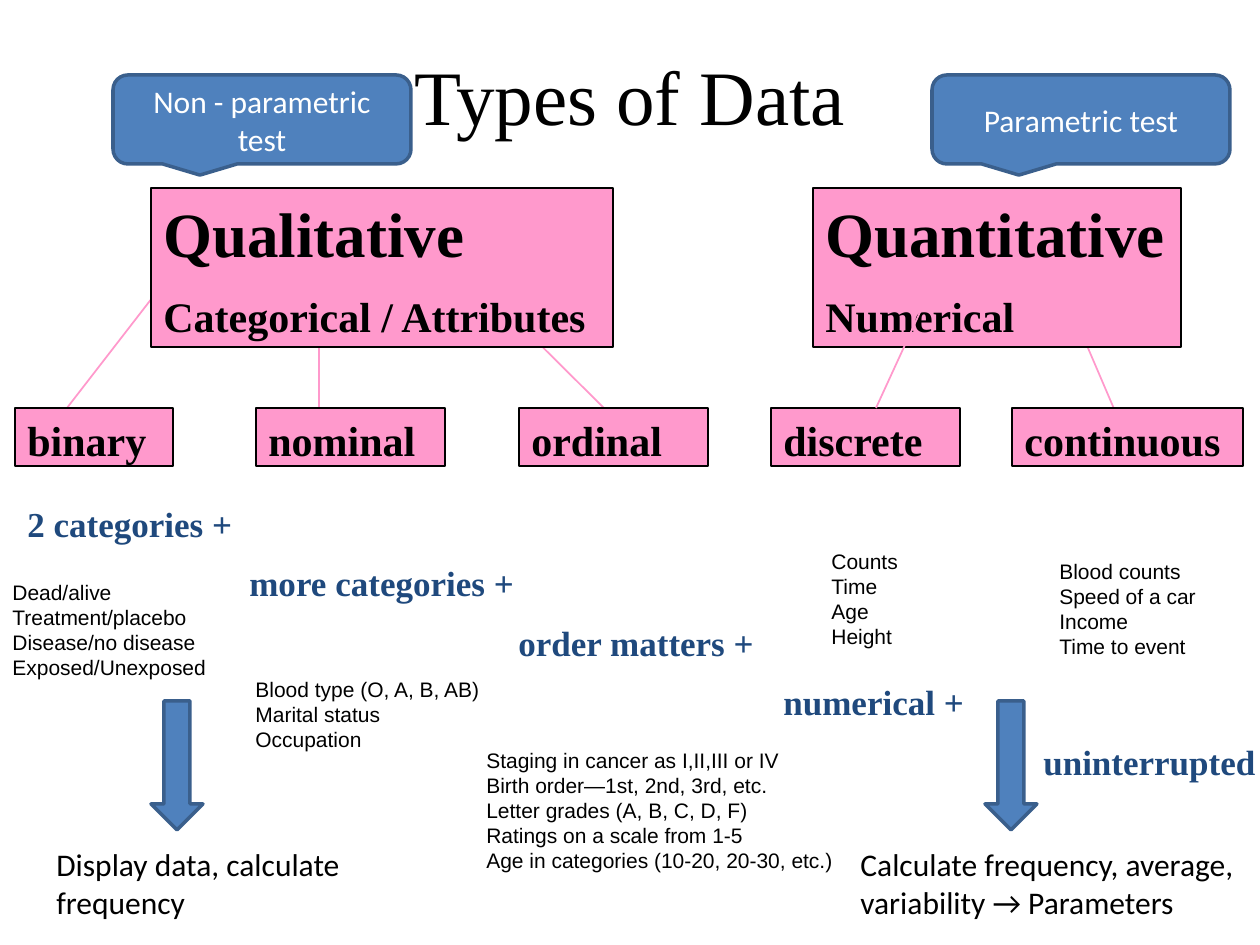
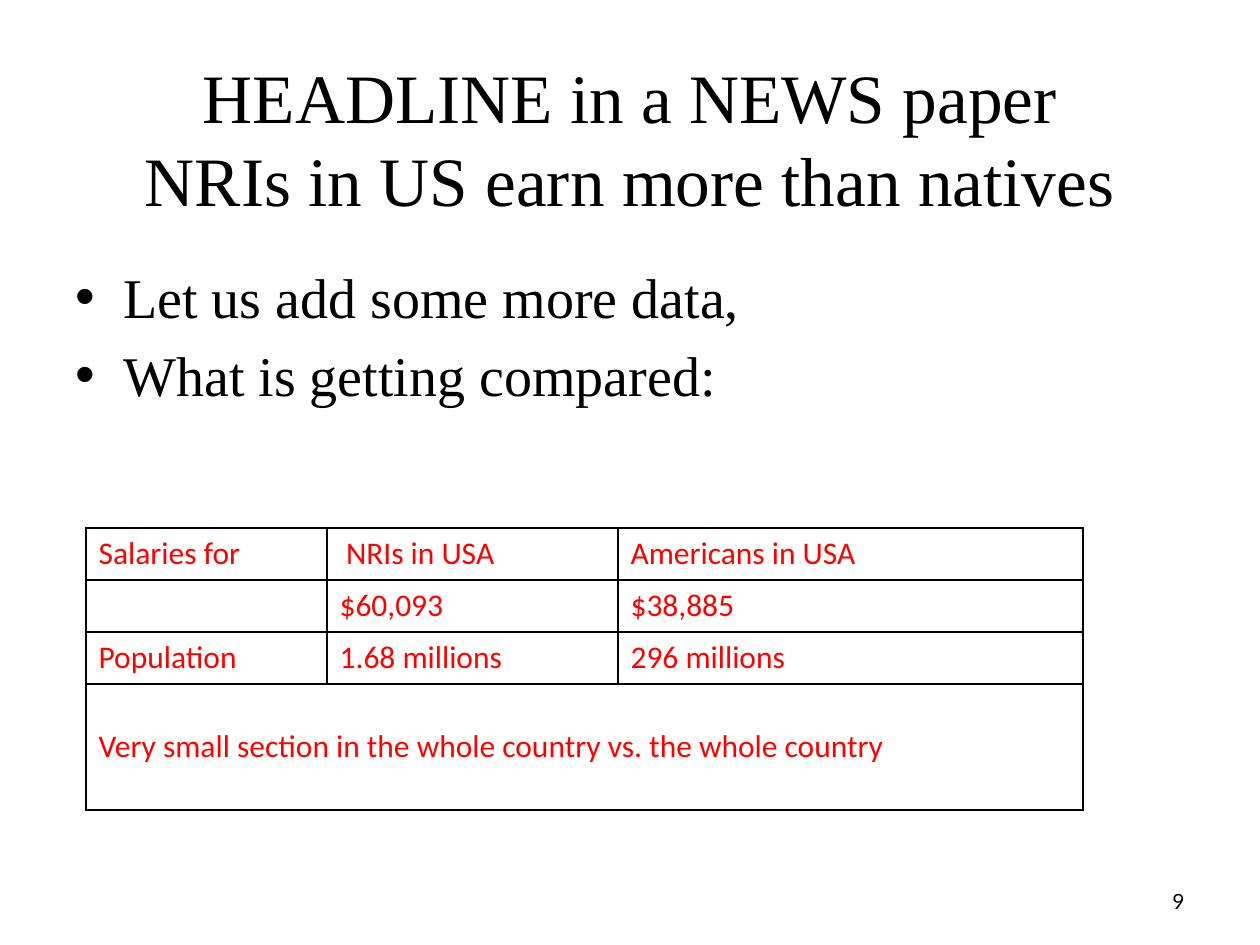
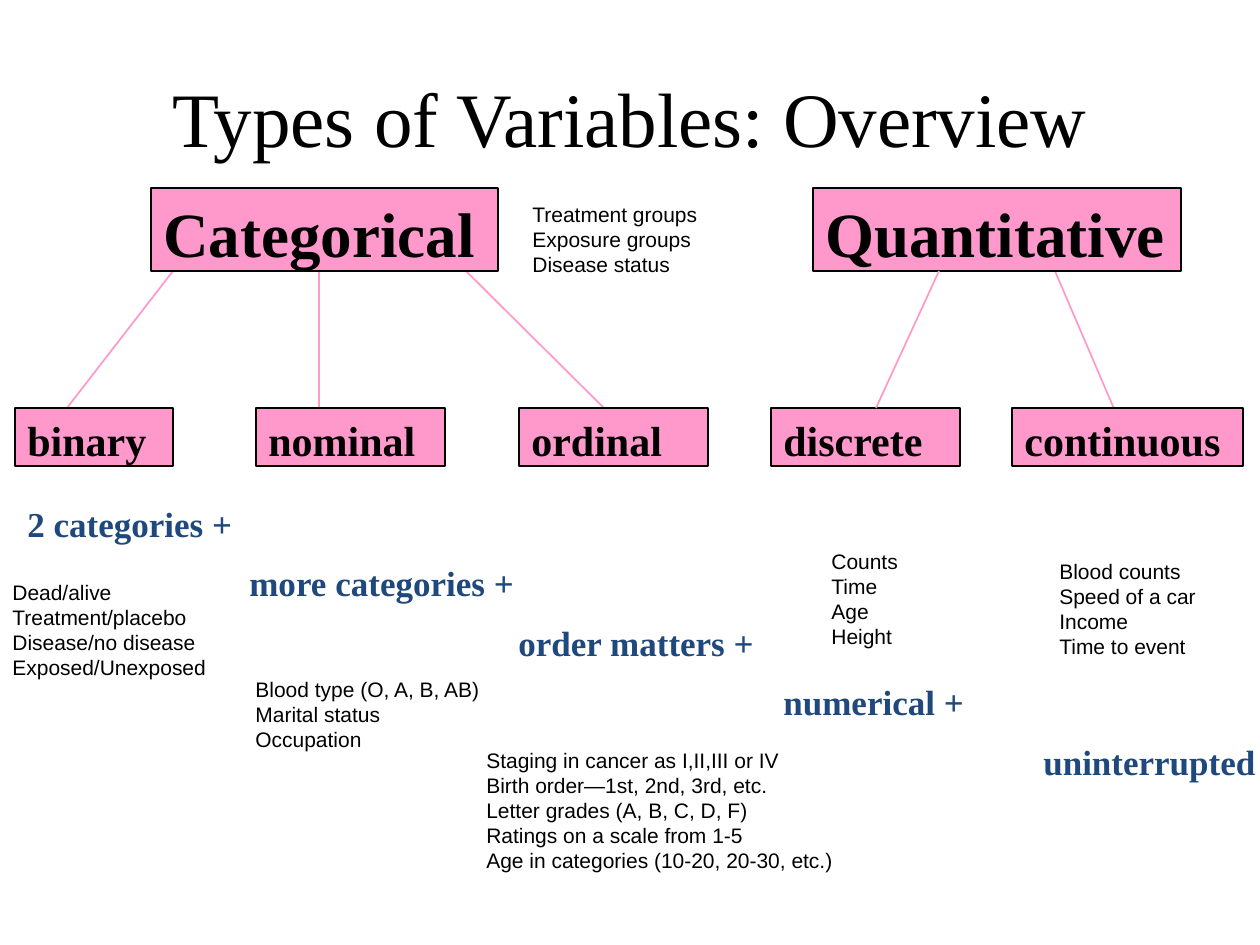
from lxml.etree import SubElement
from pptx import Presentation
from pptx.dml.color import RGBColor
from pptx.enum.shapes import MSO_CONNECTOR as Connector, MSO_SHAPE as Shape
from pptx.enum.text import MSO_ANCHOR as Anchor, PP_ALIGN as Align
from pptx.oxml.ns import qn
from pptx.util import Pt

EMU_PER_PX = 914400 / 126
COLORS = {
    "text": "000000",
    "white": "FFFFFF",
    "pink": "FF99CC",
    "blue": "4F81BD",
    "blue_edge": "3A5F8C",
    "navy": "1F497D",
    "red": "FF0000",
}
SERIF, SANS, BODY, NUMBER = "Times New Roman", "Arial", "Calibri", "Lato"

LEAVES = [
    ("continuous", 1012, 231),
    ("discrete", 771, 189),
    ("ordinal", 519, 189),
    ("nominal", 256, 189),
    ("binary", 15, 158),
]
BRANCHES = [
    (1055, 271, 1118, 418),
    (319, 271, 319, 408),
    (173, 271, 67, 408),
    (466, 271, 614, 418),
]
DISCRETE_BRANCH = (939, 271, 876, 408)
STEPS = [
    ("2 categories +", 0),
    ("more categories +", 222),
    ("order matters +", 491),
    ("numerical +", 756),
    ("uninterrupted", 1016),
]
EXAMPLES = [
    ((0, 573, 233, 113),
     ["Dead/alive", "Treatment/placebo", "Disease/no disease", "Exposed/Unexposed"]),
    ((243, 670, 297, 88),
     ["Blood type (O, A, B, AB)", "Marital status", "Occupation"]),
    ((474, 741, 415, 139),
     ["Staging in cancer as I,II,III or IV", "Birth order—1st, 2nd, 3rd, etc.",
      "Letter grades (A, B, C, D, F)", "Ratings on a scale from 1-5",
      "Age in categories (10-20, 20-30, etc.)"]),
    ((819, 542, 117, 113), ["Counts", "Time", "Age", "Height"]),
    ((1047, 552, 188, 113),
     ["Blood counts", "Speed of a car", "Income", "Time to event"]),
]
SALARIES = [
    ["Salaries for", "NRIs in USA", "Americans in USA"],
    ["", "$60,093", "$38,885"],
    ["Population", "1.68 millions", "296 millions"],
    ["Very small section in the whole country vs. the whole country", "", ""],
]


def px(value):
    return round(value * EMU_PER_PX)


def rgb(name):
    return RGBColor.from_string(COLORS[name])


class Deck:
    def __init__(self):
        self.presentation = Presentation()
        self.presentation.slide_width = px(1260)
        self.presentation.slide_height = px(945)
        self.slide = None

    def new_slide(self):
        self.slide = self.presentation.slides.add_slide(self.presentation.slide_layouts[6])

    def style(self, paragraph, size, font=SERIF, color="text", bold=False,
              align=Align.LEFT, before=0, indent=0, bullet=None):
        paragraph.alignment = align
        properties = paragraph._p.get_or_add_pPr()
        if before:
            spacing = SubElement(properties, qn("a:spcBef"))
            SubElement(spacing, qn("a:spcPct"), val=str(before * 1000))
        if indent:
            properties.set("marL", str(px(indent)))
        if bullet:
            properties.set("indent", str(-px(indent)))
            SubElement(properties, qn("a:buFont"), typeface=SANS)
            SubElement(properties, qn("a:buChar"), char=bullet)
        for run in paragraph.runs:
            run.font.size = Pt(size)
            run.font.name = font
            run.font.bold = bold
            run.font.color.rgb = rgb(color)

    def fill_text(self, shape, lines, size, anchor=Anchor.TOP, bottom=6, **style):
        frame = shape.text_frame
        frame.word_wrap = True
        frame.vertical_anchor = anchor
        frame.margin_bottom = px(bottom)
        frame.text = "\n".join(lines)
        for paragraph in frame.paragraphs:
            self.style(paragraph, size, **style)
        return frame

    def text(self, area, lines, size, **style):
        box = self.slide.shapes.add_textbox(*map(px, area))
        return self.fill_text(box, lines, size, **style)

    def title(self, text, top, size=44):
        self.text((63, top, 1134, 158), [text], size, anchor=Anchor.MIDDLE, align=Align.CENTER)

    def shape(self, kind, area, fill="blue", edge="blue_edge", width=2):
        shape = self.slide.shapes.add_shape(kind, *map(px, area))
        shape.shadow.inherit = False
        shape.fill.solid()
        shape.fill.fore_color.rgb = rgb(fill)
        shape.line.color.rgb = rgb(edge)
        shape.line.width = Pt(width)
        return shape

    def pink_box(self, area, lines, size):
        box = self.shape(Shape.RECTANGLE, area, "pink", "text", 0.75)
        return self.fill_text(box, lines, size, bottom=0, bold=True, before=50)

    def callout(self, left, text):
        callout = self.shape(Shape.ROUNDED_RECTANGULAR_CALLOUT, (left, 75, 298, 89))
        self.fill_text(callout, [text], 18, anchor=Anchor.MIDDLE, font=BODY,
                       color="white", align=Align.CENTER)

    def line(self, ends):
        connector = self.slide.shapes.add_connector(Connector.STRAIGHT, *map(px, ends))
        connector.line.color.rgb = rgb("pink")
        connector.line.width = Pt(1)
        SubElement(connector._element.spPr, qn("a:effectLst"))

    def table(self, area, rows, widths, heights):
        frame = self.slide.shapes.add_table(len(rows), len(widths), *map(px, area))
        table = frame.table
        table.first_row = table.horz_banding = False
        for column, width in zip(table.columns, widths):
            column.width = px(width)
        for row, height, texts in zip(table.rows, heights, rows):
            row.height = px(height)
            for cell, text in zip(row.cells, texts):
                cell.text = text
                self.style(cell.text_frame.paragraphs[0], 18, BODY, "red")
                self.borders(cell)
                cell.fill.solid()
                cell.fill.fore_color.rgb = rgb("white")
        return table

    def borders(self, cell):
        properties = cell._tc.get_or_add_tcPr()
        for side in ("lnL", "lnR", "lnT", "lnB"):
            border = SubElement(properties, qn(f"a:{side}"), w=str(Pt(1)))
            fill = SubElement(border, qn("a:solidFill"))
            SubElement(fill, qn("a:srgbClr"), val=COLORS["text"])


def add_type_tree(deck, title, title_top, height, qualitative, quantitative, width):
    deck.new_slide()
    for ends in BRANCHES:
        deck.line(ends)
    deck.title(title, title_top)
    for left, box_width, lines in ((151, width, qualitative), (813, 368, quantitative)):
        frame = deck.pink_box((left, 188, box_width, height), lines, 36)
        for paragraph in frame.paragraphs[1:]:
            paragraph.runs[0].font.size = Pt(24)
    for name, left, box_width in LEAVES:
        deck.pink_box((left, 408, box_width, 58), [name], 24)
    deck.line(DISCRETE_BRANCH)
    steps = deck.text((15, 496, 1260, 363), [name for name, _ in STEPS], 20,
                      bottom=0, color="navy", bold=True, before=50)
    for paragraph, (_, indent) in zip(steps.paragraphs, STEPS):
        paragraph._p.get_or_add_pPr().set("marL", str(px(indent)))
    for area, lines in EXAMPLES:
        deck.text(area, lines, 12, font=SANS)


def add_types_of_data(deck):
    add_type_tree(deck, "Types of Data", 16, 159,
                  ["Qualitative", "Categorical / Attributes"],
                  ["Quantitative", "Numerical"], 462)
    outcomes = [
        (151, 44, 367, "Display data, calculate frequency"),
        (985, 848, 412, "Calculate frequency, average, variability → Parameters"),
    ]
    for arrow_left, text_left, width, text in outcomes:
        deck.text((text_left, 839, width, 89), [text], 18, font=BODY)
        deck.shape(Shape.DOWN_ARROW, (arrow_left, 701, 52, 129))
    deck.callout(113, "Non - parametric test")
    deck.callout(932, "Parametric test")


def add_headline(deck):
    deck.new_slide()
    deck.text((903, 876, 294, 50), ["9"], 12, anchor=Anchor.MIDDLE,
              font=NUMBER, align=Align.RIGHT)
    deck.title("HEADLINE in a NEWS paper\vNRIs in US earn more than natives", 58, 39.6)
    deck.text((63, 256, 1134, 257),
              ["Let us add some more data,", "What is getting compared:"],
              32, before=20, indent=48, bullet="•")
    table = deck.table((86, 528, 997, 282), SALARIES, (241, 291, 465), (52, 52, 52, 126))
    table.cell(0, 1).margin_left = px(19)
    summary = table.cell(3, 0)
    summary.merge(table.cell(3, 2))
    summary.vertical_anchor = Anchor.MIDDLE


def add_variables_overview(deck):
    add_type_tree(deck, "Types of Variables: Overview", 38, 83,
                  ["Categorical"], ["Quantitative"], 347)
    deck.text((520, 195, 256, 88),
              ["Treatment groups", "Exposure groups", "Disease status"], 12, font=SANS)


def main():
    deck = Deck()
    add_types_of_data(deck)
    add_headline(deck)
    add_variables_overview(deck)
    deck.presentation.save("out.pptx")


if __name__ == "__main__":
    main()
